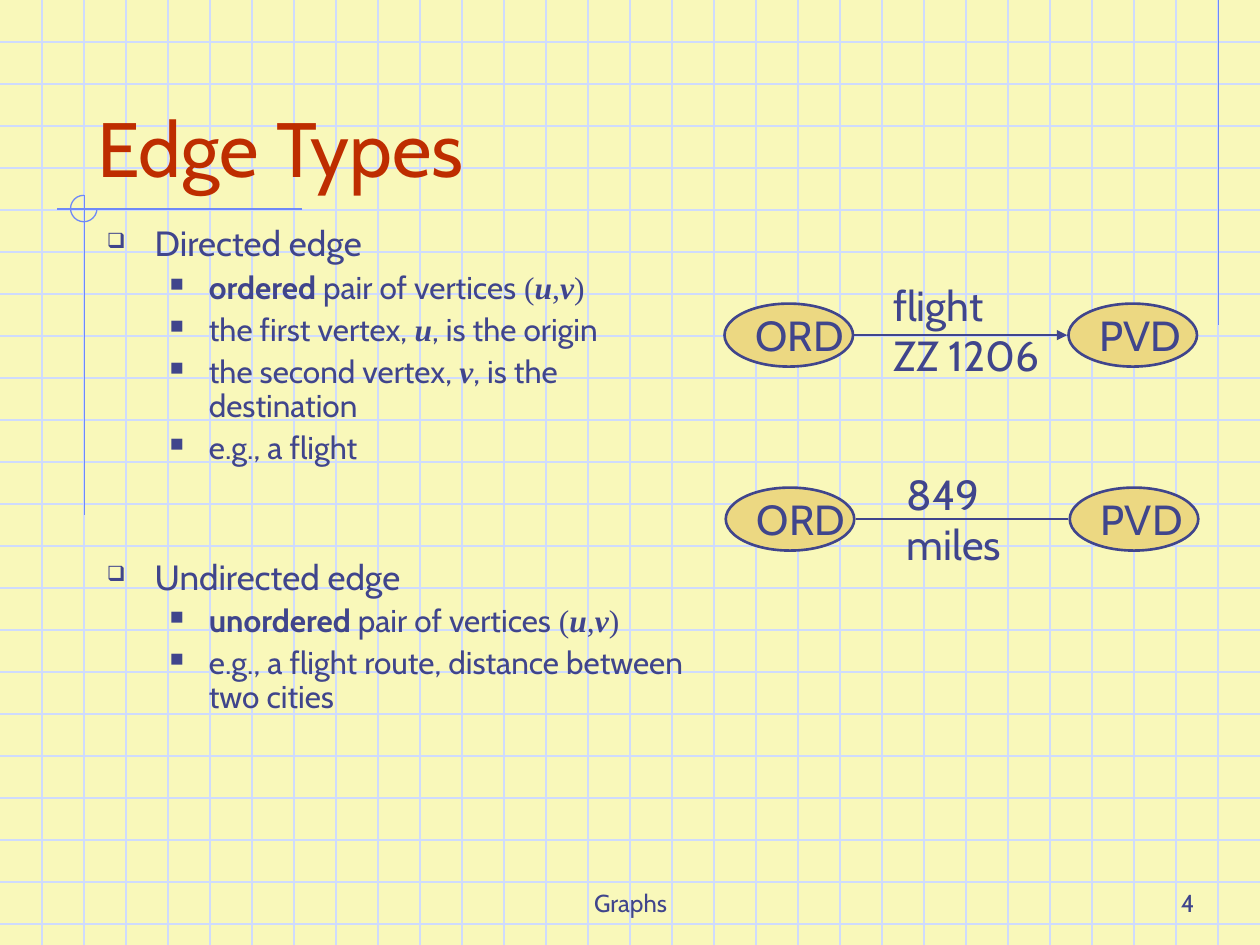
from dataclasses import dataclass

from lxml import etree
from pptx import Presentation
from pptx.dml.color import RGBColor
from pptx.enum.shapes import MSO_CONNECTOR, MSO_SHAPE
from pptx.enum.text import MSO_ANCHOR, MSO_AUTO_SIZE, PP_ALIGN
from pptx.oxml.ns import qn
from pptx.util import Inches, Pt

STRAIGHT = MSO_CONNECTOR.STRAIGHT
ELLIPSE, ARC = MSO_SHAPE.OVAL, MSO_SHAPE.ARC
TOP, MIDDLE, BOTTOM = MSO_ANCHOR.TOP, MSO_ANCHOR.MIDDLE, MSO_ANCHOR.BOTTOM
LEFT, CENTER, RIGHT = PP_ALIGN.LEFT, PP_ALIGN.CENTER, PP_ALIGN.RIGHT


@dataclass(frozen=True)
class Theme:
    paper: RGBColor = RGBColor.from_string("F9F8BA")
    grid: RGBColor = RGBColor.from_string("CFDBFD")
    accent: RGBColor = RGBColor.from_string("6F89F7")
    ink: RGBColor = RGBColor.from_string("40458C")
    heading: RGBColor = RGBColor.from_string("BE2D00")
    vertex: RGBColor = RGBColor.from_string("ECD882")
    font: str = "Cabin"
    math_font: str = "Times New Roman"
    title_size: int = 44
    label_size: int = 24
    topic_size: int = 20
    detail_size: int = 18
    footer_size: int = 14
    thin: float = 0.75
    thick: float = 1.5


theme = Theme()


def add_line(x1, y1, x2, y2, color, width):
    line = slide.shapes.add_connector(
        STRAIGHT, Inches(x1), Inches(y1), Inches(x2), Inches(y2))
    line.line.color.rgb = color
    line.line.width = Pt(width)
    etree.SubElement(line.element.spPr, qn("a:effectLst"))
    return line


def add_run(paragraph, text, size, color=theme.ink, style=""):
    """Style letters: b bold, i italic, m math font."""
    run = paragraph.add_run()
    run.text = text
    run.font.size = Pt(size)
    run.font.name = theme.math_font if "m" in style else theme.font
    run.font.color.rgb = color
    run.font.bold = "b" in style
    run.font.italic = "i" in style


presentation = Presentation()
presentation.slide_width = Inches(10)
presentation.slide_height = Inches(7.5)
slide = presentation.slides.add_slide(presentation.slide_layouts[5])
slide.background.fill.solid()
slide.background.fill.fore_color.rgb = theme.paper

# Graph paper: three squares to the inch
for step in range(1, 23):
    add_line(0, step / 3, 10, step / 3, theme.grid, theme.thin)
for step in range(1, 30):
    add_line(step / 3, 0, step / 3, 7.5, theme.grid, theme.thin)

# Accent lines and the three-quarter circle where they cross
for ends in ((9.67, 0, 9.67, 2.58), (2.4, 1.66, 0.45, 1.66), (0.67, 1.55, 0.67, 4.09)):
    add_line(*ends, theme.accent, theme.thin)
circle = slide.shapes.add_shape(
    ARC, Inches(0.56), Inches(1.55), Inches(0.21), Inches(0.21))
circle.shadow.inherit = False
circle.adjustments[0] = 0
circle.adjustments[1] = 162  # 270 degrees
circle.fill.background()
circle.line.color.rgb = theme.accent
circle.line.width = Pt(theme.thin)

# Title, brought in front of the graph paper
title = slide.shapes.title
title.element.getparent().append(title.element)
title.left, title.top = Inches(0.67), Inches(0.33)
title.width, title.height = Inches(8.83), Inches(1.25)
title.text_frame.auto_size = MSO_AUTO_SIZE.NONE
title.text_frame.vertical_anchor = BOTTOM
title_paragraph = title.text_frame.paragraphs[0]
title_paragraph.alignment = LEFT
add_run(title_paragraph, "Edge Types", theme.title_size, theme.heading)

# Bulleted list: level, space before, runs
pair = [(" pair of vertices", ""), (" (", "m"), ("u", "bim"), (",", "m"),
        ("v", "bim"), (")", "m")]
items = [
    (0, 5, [("Directed edge", "")]),
    (1, 4.5, [("ordered", "b"), *pair]),
    (1, 4.5, [("the first vertex, ", ""), ("u", "bim"), (", is the origin", "")]),
    (1, 4.5, [("the second vertex, ", ""), ("v", "bim"), (", is the destination", "")]),
    (1, 4.5, [("e.g., a flight", "")]),
    (0, 53.5, [("Undirected edge", "")]),
    (1, 4.5, [("unordered", "b"), *pair]),
    (1, 4.5, [("e.g., a flight route, distance between two cities", "")]),
]
levels = [  # margin, indent, bullet, size
    (0.38, -0.38, "❑", theme.topic_size),
    (0.81, -0.31, "■", theme.detail_size),
]
body = slide.shapes.add_textbox(
    Inches(0.75), Inches(1.75), Inches(4.83), Inches(5.33)).text_frame
body.word_wrap = True
for index, (level, space, runs) in enumerate(items):
    paragraph = body.add_paragraph() if index else body.paragraphs[0]
    margin, indent, bullet, size = levels[level]
    paragraph.level = level
    paragraph.line_spacing = 0.9
    paragraph.space_before = Pt(space)
    properties = paragraph._p.get_or_add_pPr()
    properties.set("marL", str(Inches(margin)))
    properties.set("indent", str(Inches(indent)))
    bullet_color = etree.SubElement(properties, qn("a:buClr"))
    etree.SubElement(bullet_color, qn("a:srgbClr"), val=str(theme.ink))
    etree.SubElement(properties, qn("a:buSzPct"), val="60000")
    etree.SubElement(properties, qn("a:buChar"), char=bullet)
    for text, style in runs:
        add_run(paragraph, text, size, style=style)

# Two edges, each between a pair of vertices
edges = [  # left, top, directed
    (5.75, 2.41, True),
    (5.76, 3.87, False),
]
for left, top, directed in edges:
    for name, offset in (("ORD", 0), ("PVD", 2.73)):
        vertex = slide.shapes.add_shape(
            ELLIPSE, Inches(left + offset), Inches(top), Inches(1.02), Inches(0.5))
        vertex.shadow.inherit = False
        vertex.fill.solid()
        vertex.fill.fore_color.rgb = theme.vertex
        vertex.line.color.rgb = theme.ink
        vertex.line.width = Pt(theme.thick)
        vertex.text_frame.word_wrap = False
        vertex.text_frame.vertical_anchor = MIDDLE
        paragraph = vertex.text_frame.paragraphs[0]
        paragraph.alignment = LEFT
        add_run(paragraph, name, theme.label_size)
    edge = add_line(left + 1.03, top + 0.25, left + 2.72, top + 0.25,
                    theme.ink, theme.thick)
    if directed:
        etree.SubElement(edge.line._get_or_add_ln(), qn("a:tailEnd"), type="triangle")

# Edge labels and footer: box, anchor, alignment, size, lines
labels = [
    ((6.99, 2.17, 2.17, 0.9), TOP, LEFT, theme.label_size, ["flight", "ZZ 1206"]),
    ((7.1, 3.67, 1.03, 0.9), TOP, LEFT, theme.label_size, ["849", "miles"]),
    ((3.42, 6.83, 3.17, 0.5), BOTTOM, CENTER, theme.footer_size, ["Graphs"]),
    ((7.5, 6.83, 2.08, 0.5), BOTTOM, RIGHT, theme.footer_size, ["4"]),
]
for box, anchor, alignment, size, lines in labels:
    frame = slide.shapes.add_textbox(*map(Inches, box)).text_frame
    frame.word_wrap = True
    frame.vertical_anchor = anchor
    for index, text in enumerate(lines):
        paragraph = frame.add_paragraph() if index else frame.paragraphs[0]
        paragraph.alignment = alignment
        add_run(paragraph, text, size)

presentation.save("out.pptx")
